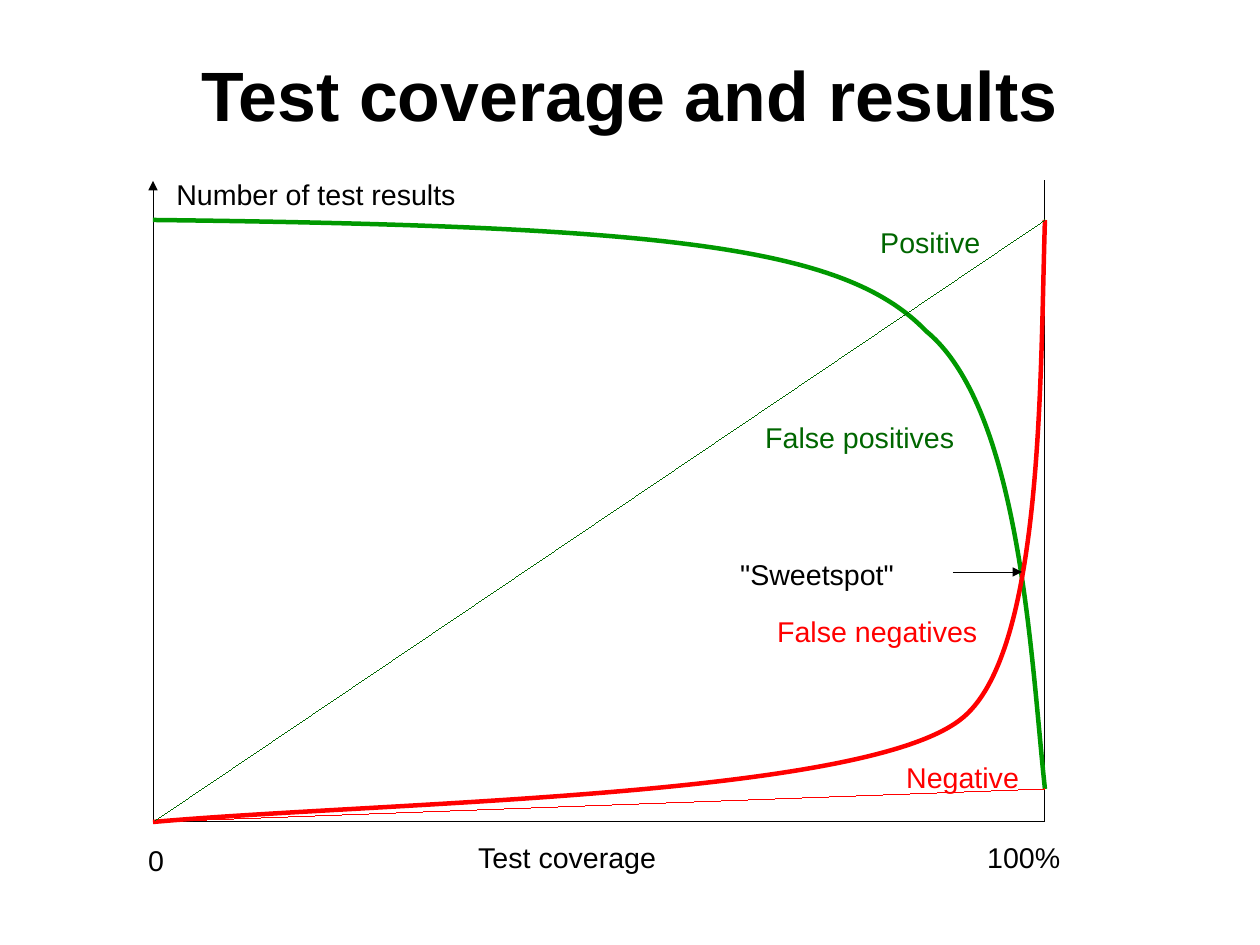
from lxml import etree
from pptx import Presentation
from pptx import util as u
from pptx.dml.color import RGBColor
from pptx.enum import shapes, text
from pptx.oxml import ns

SCALE = 8000  # EMU per pixel
FONT = "Arial"
COLORS = {"black": "000000", "green": "009900", "dark_green": "006600", "red": "FF0000"}


def px(value):
    return u.Emu(round(value * SCALE))


def color(name):
    return RGBColor.from_string(COLORS[name])


def write_text(frame, words, size=18, tint="black", bold=False,
               align=text.PP_ALIGN.LEFT, anchor=text.MSO_ANCHOR.TOP, margins=(0.1, 0.05)):
    frame.word_wrap = True
    frame.vertical_anchor = anchor
    frame.margin_left = frame.margin_right = u.Inches(margins[0])
    frame.margin_top = frame.margin_bottom = u.Inches(margins[1])
    para = frame.paragraphs[0]
    para.alignment = align
    span = para.add_run()
    span.text = words
    span.font.name = FONT
    span.font.size = u.Pt(size)
    span.font.bold = bold
    span.font.color.rgb = color(tint)


def add_line(page, start, end, tint="black", arrow=False):
    line = page.shapes.add_connector(
        shapes.MSO_CONNECTOR.STRAIGHT, *(px(value) for value in (*start, *end)))
    line.line.color.rgb = color(tint)
    properties = line.line._get_or_add_ln()
    properties.set("w", "0")  # hairline; the width property drops a zero
    if arrow:
        etree.SubElement(properties, ns.qn("a:tailEnd"), type="triangle")
    etree.SubElement(properties.getparent(), ns.qn("a:effectLst"))


def add_curve(page, points, tint):
    """Draw cubic curves: a start, then two controls and an end for each."""
    start, *rest = [(px(x), px(y)) for x, y in points]
    builder = page.shapes.build_freeform(*start)
    builder.add_line_segments(rest, close=False)
    curve = builder.convert_to_shape()
    curve.shadow.inherit = False
    curve.fill.background()
    curve.line.color.rgb = color(tint)
    curve.line.width = u.Pt(2.83)

    # Join each three straight segments into one cubic segment
    segments = list(curve.element.iter(ns.qn("a:lnTo")))
    for first in range(0, len(segments), 3):
        cubic = etree.Element(ns.qn("a:cubicBezTo"))
        segments[first].addprevious(cubic)
        for segment in segments[first:first + 3]:
            cubic.append(segment[0])
            segment.getparent().remove(segment)


def add_title(page, box):
    title = page.shapes.title
    title.left, title.top, title.width, title.height = (px(value) for value in box)
    write_text(title.text_frame, "Test coverage and results", size=44, bold=True,
               align=text.PP_ALIGN.CENTER, anchor=text.MSO_ANCHOR.MIDDLE, margins=(0, 0))


def add_diagram(page, box):
    left, top, width, height = box
    high, low = 39, 608  # levels of all positives and all negatives

    def at(x, y):
        return left + x, top + y

    origin = at(0, height)

    # Axes and right border
    add_line(page, origin, at(0, 0), arrow=True)
    add_line(page, origin, at(width, height))
    add_line(page, at(width, 0), at(width, height))

    # Result curves
    positives = [(0, high), (518, 45), (692, 66), (773, 150),
                 (868, 228), (878, 479), (width, low)]
    negatives = [(0, height), (225, 621), (705, 617), (807, 539),
                 (891, 476), (887, 196), (width, high)]
    for points, tint in ((positives, "green"), (negatives, "red")):
        add_curve(page, [at(*point) for point in points], tint)

    # Straight reference lines
    add_line(page, origin, at(width, high), "dark_green")
    add_line(page, origin, at(width, low), "red")

    # Labels: words, left, top, width, colour
    labels = [
        ("Number of test results", 12, -10, 327, "black"),
        ("Test coverage", 314, 653, 208, "black"),
        ("0", -16, 656, 46, "black"),
        ("100%", 823, 653, 144, "black"),
        ("Positive", 716, 38, 150, "dark_green"),
        ("False positives", 601, 233, 226, "dark_green"),
        ("False negatives", 613, 427, 233, "red"),
        ("Negative", 742, 573, 205, "red"),
        ('"Sweetspot"', 576, 370, 206, "black"),
    ]
    for words, x, y, label_width, tint in labels:
        label = page.shapes.add_textbox(*(px(value) for value in (*at(x, y), label_width, 44)))
        write_text(label.text_frame, words, tint=tint)

    # Pointer to the crossing
    add_line(page, at(800, 391), at(869, 391), arrow=True)


deck = Presentation()
deck.slide_width, deck.slide_height = px(1260), px(945)
page = deck.slides.add_slide(deck.slide_layouts[5])  # Title Only
add_title(page, (63, 38, 1134, 111))
add_diagram(page, (153, 181, 892, 641))
deck.save("out.pptx")
